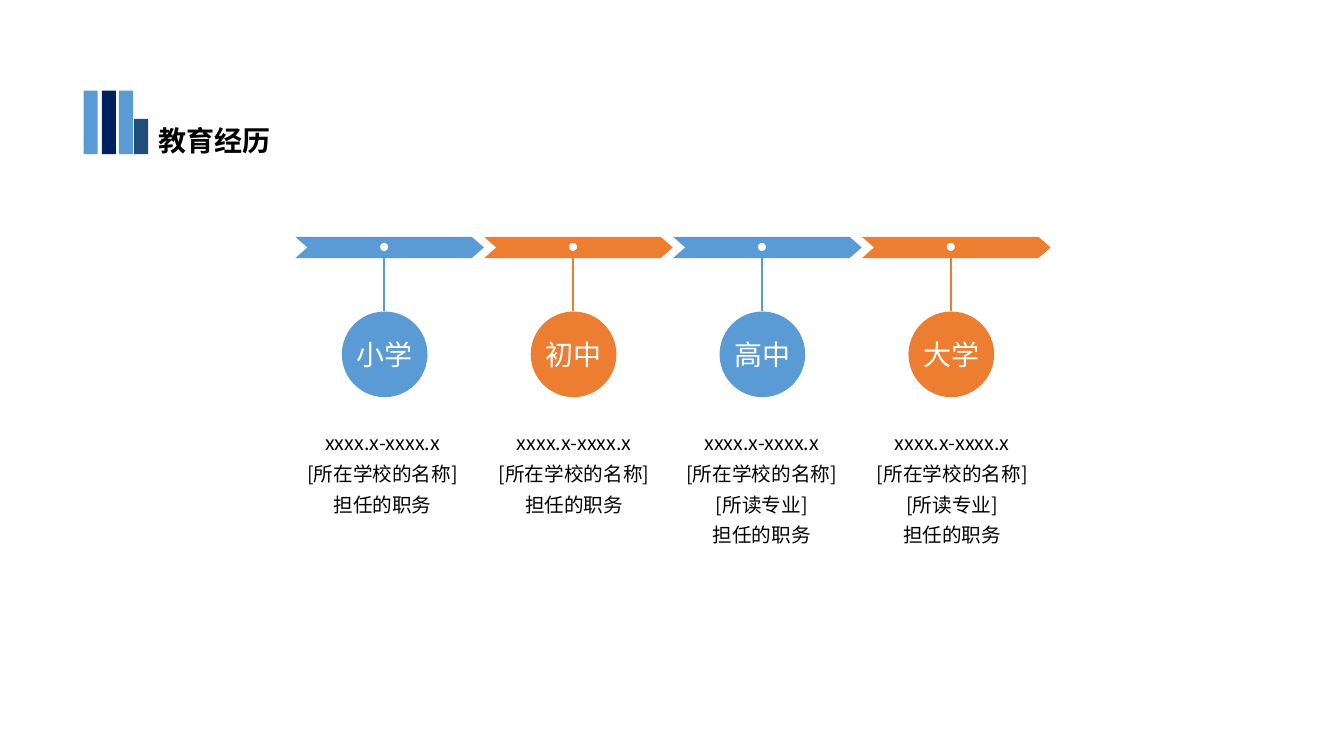
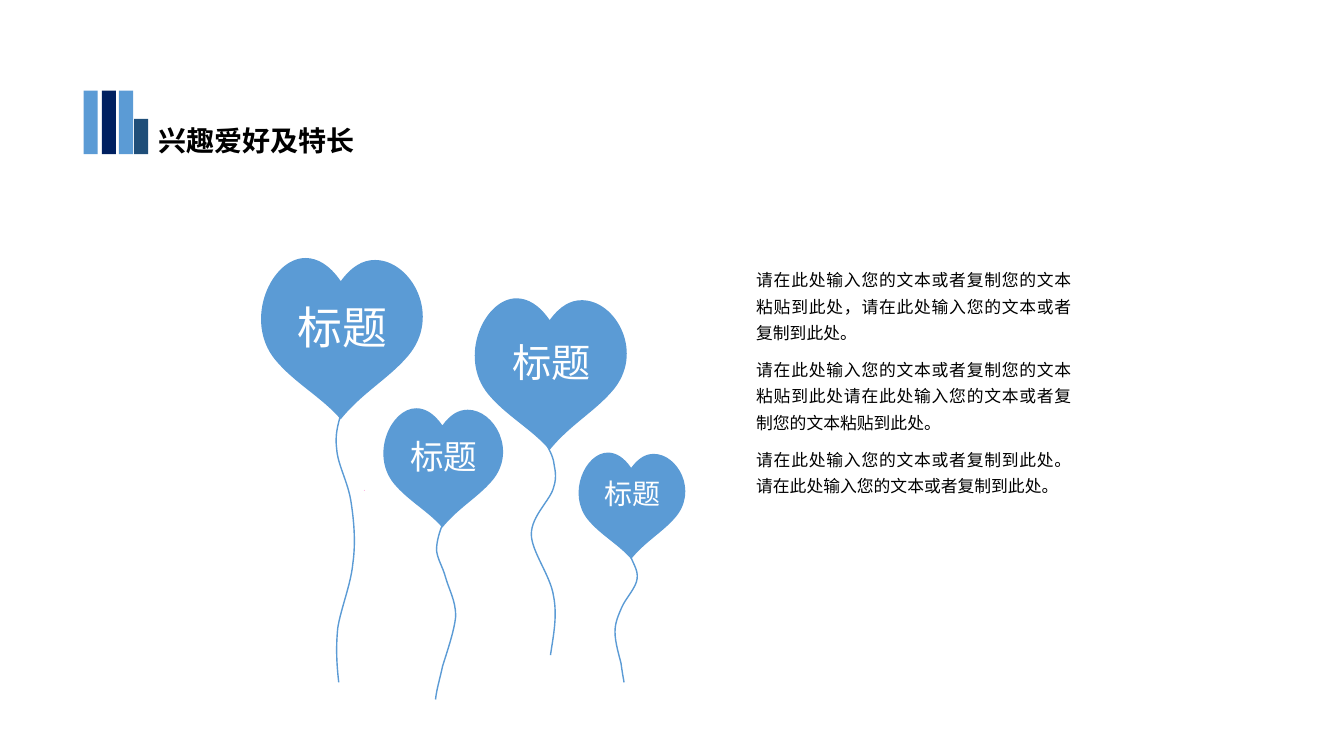
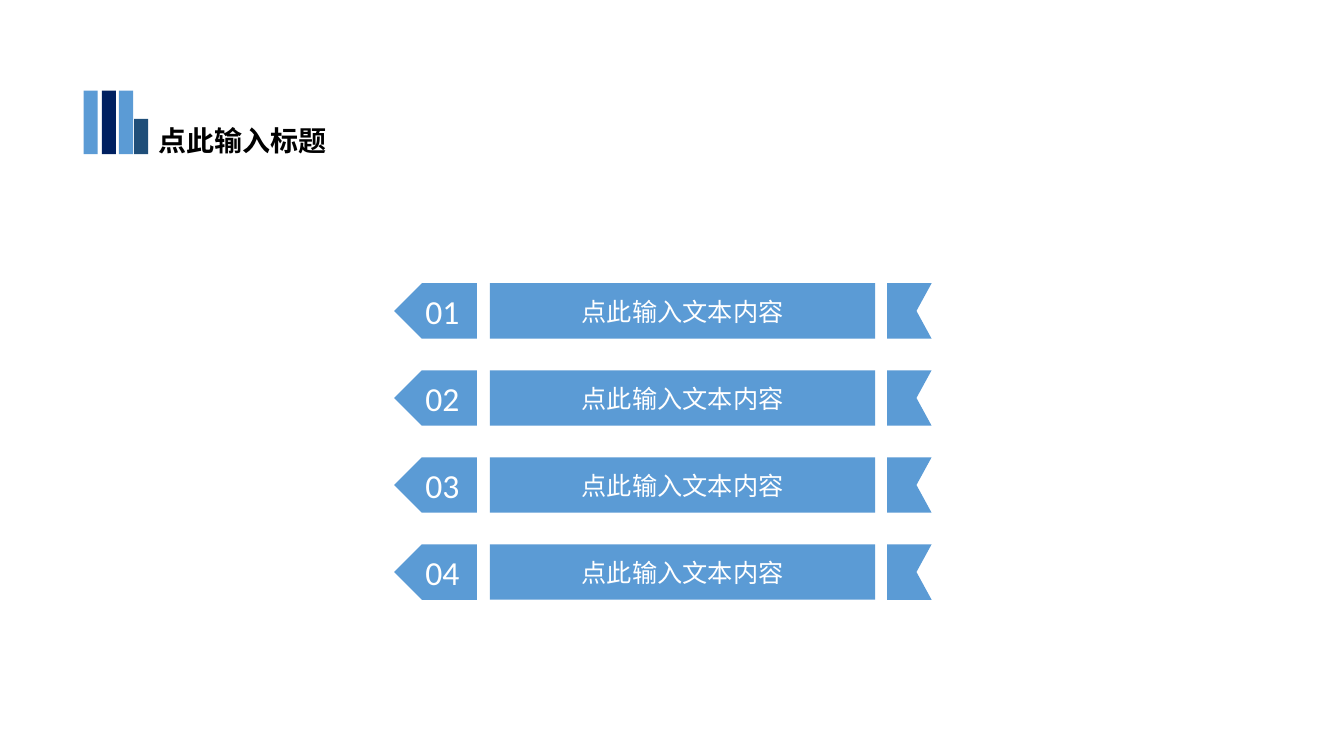
from dataclasses import dataclass

from lxml import etree
from pptx import Presentation
from pptx.dml.color import RGBColor
from pptx.enum.shapes import MSO_CONNECTOR, MSO_SHAPE
from pptx.enum.text import MSO_ANCHOR, MSO_AUTO_SIZE, PP_ALIGN
from pptx.oxml.ns import qn
from pptx.util import Inches, Pt

RECT, OVAL = MSO_SHAPE.RECTANGLE, MSO_SHAPE.OVAL
CHEVRON, PENTAGON = MSO_SHAPE.CHEVRON, MSO_SHAPE.PENTAGON
STRAIGHT = MSO_CONNECTOR.STRAIGHT
TOP, MIDDLE = MSO_ANCHOR.TOP, MSO_ANCHOR.MIDDLE
LEFT, CENTER, JUSTIFY = PP_ALIGN.LEFT, PP_ALIGN.CENTER, PP_ALIGN.JUSTIFY
NO_FIT = MSO_AUTO_SIZE.NONE

BLUE, ORANGE, NAVY, STEEL = "5B9BD5", "ED7D31", "002060", "1F4E79"
MAGENTA, PINK = "EE1696", "F489AC"
BLACK, WHITE = "000000", "FFFFFF"
CJK, LATIN = "Noto Sans CJK SC", "Calibri"
TITLE_ONLY, TITLE_BODY = 5, 1

Point = tuple[float, float]
Box = tuple[float, float, float, float]
DEFAULT_INSETS: Box = (0.1, 0.05, 0.1, 0.05)
NO_INSETS: Box = (0, 0, 0, 0)


@dataclass
class Bar:
    left: float
    top: float
    height: float
    color: str


@dataclass
class Stage:
    name: str
    color: str
    details_left: float
    lines: list[str]


@dataclass
class Balloon:
    left: float
    top: float
    scale: float
    size: int
    string: list[Point]  # start, then two handles and an end per curve


@dataclass
class Speck:
    left: float
    top: float
    color: str


TITLE_BARS = [
    Bar(0.83, 0.9, 0.63, BLUE),
    Bar(1.01, 0.9, 0.63, NAVY),
    Bar(1.18, 0.9, 0.63, BLUE),
    Bar(1.33, 1.18, 0.35, STEEL),
]

DATES, SCHOOL, MAJOR, DUTY = "xxxx.x-xxxx.x", "[所在学校的名称]", "[所读专业]", "担任的职务"
STAGES = [
    Stage("小学", BLUE, 2.86, [DATES, SCHOOL, DUTY]),
    Stage("初中", ORANGE, 4.76, [DATES, SCHOOL, DUTY]),
    Stage("高中", BLUE, 6.62, [DATES, SCHOOL, MAJOR, DUTY]),
    Stage("大学", ORANGE, 8.51, [DATES, SCHOOL, MAJOR, DUTY]),
]

HEART: list[Point] = [
    (0.62, 0),
    (0.28, 0), (0, 0.62), (0.32, 1.01),
    (0.51, 1.24), (0.78, 1.38), (0.97, 1.6),
    (1.18, 1.34), (1.44, 1.2), (1.63, 0.98),
    (1.98, 0.58), (1.67, 0.02), (1.31, 0.02),
    (1.19, 0.02), (1.08, 0.08), (0.97, 0.23),
    (0.86, 0.07), (0.74, 0), (0.62, 0),
]
BALLOONS = [
    Balloon(2.41, 2.56, 1, 32, [
        (3.38, 4.11),
        (3.35, 4.22), (3.32, 4.32), (3.34, 4.46),
        (3.35, 4.61), (3.45, 4.78), (3.48, 4.97),
        (3.51, 5.16), (3.53, 5.38), (3.5, 5.59),
        (3.48, 5.8), (3.38, 6.04), (3.35, 6.23),
        (3.33, 6.43), (3.34, 6.6), (3.36, 6.77)]),
    Balloon(4.54, 2.96, 0.94, 28, [
        (5.38, 4.34),
        (5.42, 4.41), (5.47, 4.49), (5.49, 4.57),
        (5.5, 4.65), (5.53, 4.72), (5.49, 4.84),
        (5.46, 4.96), (5.27, 5.12), (5.27, 5.3),
        (5.27, 5.47), (5.46, 5.71), (5.49, 5.91),
        (5.53, 6.11), (5.49, 6.3), (5.46, 6.5)]),
    Balloon(3.67, 4.05, 0.74, 24, [
        (4.4, 5.18),
        (4.36, 5.27), (4.33, 5.37), (4.33, 5.46),
        (4.34, 5.55), (4.39, 5.62), (4.42, 5.73),
        (4.45, 5.84), (4.52, 5.96), (4.52, 6.11),
        (4.51, 6.25), (4.43, 6.48), (4.39, 6.61),
        (4.36, 6.75), (4.33, 6.84), (4.32, 6.94)]),
    Balloon(5.62, 4.49, 0.66, 20, [
        (6.24, 5.48),
        (6.28, 5.6), (6.33, 5.65), (6.32, 5.74),
        (6.31, 5.83), (6.21, 5.93), (6.17, 6.02),
        (6.13, 6.11), (6.1, 6.18), (6.1, 6.27),
        (6.1, 6.37), (6.14, 6.5), (6.16, 6.58),
        (6.17, 6.66), (6.18, 6.71), (6.19, 6.77)]),
]
SPECKS = [Speck(3.61, 4.86, MAGENTA), Speck(4.39, 5.8, PINK)]
HOBBY_TEXTS = [
    "请在此处输入您的文本或者复制您的文本粘贴到此处，请在此处输入您的文本或者复制到此处。",
    "请在此处输入您的文本或者复制您的文本粘贴到此处请在此处输入您的文本或者复制您的文本粘贴到此处。",
    "请在此处输入您的文本或者复制到此处。请在此处输入您的文本或者复制到此处。",
]


def rgb(color: str) -> RGBColor:
    return RGBColor.from_string(color)


def place(sp, box: Box) -> None:
    sp.left, sp.top, sp.width, sp.height = map(Inches, box)


def paint(sp, color: str):
    """Plain fill without outline or shadow."""
    sp.shadow.inherit = False
    sp.fill.solid()
    sp.fill.fore_color.rgb = rgb(color)
    sp.line.fill.background()
    return sp


def write(sp, lines: list[str], size: int, color: str, font: str = CJK,
          align=CENTER, anchor=MIDDLE, insets: Box = NO_INSETS,
          bold: bool = False, spacing: float = 1.0,
          before: float = 0, after: float = 0) -> None:
    tf = sp.text_frame
    tf.word_wrap = True
    tf.auto_size = NO_FIT
    tf.vertical_anchor = anchor
    tf.margin_left, tf.margin_top, tf.margin_right, tf.margin_bottom = map(Inches, insets)
    for i, line in enumerate(lines):
        p = tf.add_paragraph() if i else tf.paragraphs[0]
        p.alignment = align
        p.line_spacing = spacing
        p.space_before = Pt(before if i else 0)
        p.space_after = Pt(after)
        r = p.add_run()
        r.text = line
        r.font.name = font
        etree.SubElement(r._r.get_or_add_rPr(), qn("a:ea"), typeface=font)
        r.font.size = Pt(size)
        r.font.bold = bold
        r.font.color.rgb = rgb(color)


def add_block(s, kind, box: Box, color: str):
    return paint(s.shapes.add_shape(kind, *map(Inches, box)), color)


def add_outline(s, points: list[Point], close: bool):
    start, *rest = [(Inches(x), Inches(y)) for x, y in points]
    builder = s.shapes.build_freeform(*start)
    builder.add_line_segments(rest, close=close)
    return builder.convert_to_shape()


def add_curve(s, points: list[Point]):
    """Outline whose points after the start form cubic curves, three by three."""
    sp = add_outline(s, points, close=False)
    segments = list(sp._element.spPr.iter(qn("a:lnTo")))
    for i in range(0, len(segments), 3):
        bezier = etree.Element(qn("a:cubicBezTo"))
        segments[i].addprevious(bezier)
        for segment in segments[i:i + 3]:
            bezier.append(segment[0])
            segment.getparent().remove(segment)
    return sp


def new_slide(prs, layout: int, title: str):
    """Slide with the title and its bars."""
    s = prs.slides.add_slide(prs.slide_layouts[layout])
    for bar in TITLE_BARS:
        add_block(s, RECT, (bar.left, bar.top, 0.14, bar.height), bar.color)
    place(s.shapes.title, (1.47, 1.18, 2.9, 0.44))
    write(s.shapes.title, [title], 20, BLACK, align=LEFT, anchor=TOP,
          insets=DEFAULT_INSETS, bold=True)
    return s


def add_stage(s, stage: Stage, left: float) -> None:
    center = left + 0.88
    arrow = add_block(s, CHEVRON, (left, 2.35, 1.87, 0.21), stage.color)
    arrow.adjustments[0] = 0.57
    circle = add_block(s, OVAL, (left + 0.46, 3.09, 0.85, 0.85), stage.color)
    write(circle, [stage.name], 20, WHITE)
    stem = s.shapes.add_connector(
        STRAIGHT, Inches(center), Inches(3.09), Inches(center), Inches(2.56))
    stem.line.color.rgb = rgb(stage.color)
    stem.line.width = Pt(1.5)
    etree.SubElement(stem._element.spPr, qn("a:effectLst"))
    add_block(s, OVAL, (center - 0.04, 2.41, 0.08, 0.08), WHITE)
    details = s.shapes.add_textbox(*map(Inches, (stage.details_left, 4.21, 1.87, 1.34)))
    write(details, stage.lines, 14, BLACK, anchor=TOP, spacing=1.3)


def add_balloon(s, balloon: Balloon) -> None:
    string = add_curve(s, balloon.string)
    string.shadow.inherit = False
    string.fill.background()
    string.line.color.rgb = rgb(BLUE)
    string.line.width = Pt(1)
    outline = [(balloon.left + x * balloon.scale, balloon.top + y * balloon.scale)
               for x, y in HEART]
    heart = paint(add_curve(s, outline), BLUE)
    write(heart, ["标题"], balloon.size, WHITE, insets=(0, 0, 0, 0.24))


def add_speck(s, speck: Speck) -> None:
    x, y, d = speck.left, speck.top, 0.01
    start, end = (x + d, y), (x, y + d)
    paint(add_curve(s, [start, start, end, end, end, (x + d, y + d), start]), speck.color)


def add_ribbon(s, number: int, top: float) -> None:
    height = 0.55
    tag = add_block(s, PENTAGON, (3.91, top, 0.82, height), BLUE)
    tag._element.spPr.find(qn("a:xfrm")).set("flipH", "1")
    write(tag, [f"{number:02d}"], 24, WHITE, LATIN, insets=DEFAULT_INSETS)
    band = add_block(s, RECT, (4.86, top, 3.82, height), BLUE)
    write(band, ["点此输入文本内容"], 18, WHITE, insets=DEFAULT_INSETS)
    tail = [(8.8, top), (9.24, top), (9.09, top + height / 2),
            (9.24, top + height), (8.8, top + height)]
    paint(add_outline(s, tail, close=True), BLUE)


def education_slide(prs) -> None:
    s = new_slide(prs, TITLE_ONLY, "教育经历")
    pitch = 5.62 / 3
    for i, stage in enumerate(STAGES):
        add_stage(s, stage, 2.93 + i * pitch)


def hobby_slide(prs) -> None:
    s = new_slide(prs, TITLE_BODY, "兴趣爱好及特长")
    for balloon in BALLOONS:
        add_balloon(s, balloon)
    for speck in SPECKS:
        add_speck(s, speck)
    body = s.placeholders[1]
    place(body, (7.4, 2.57, 3.33, 4.2))
    write(body, HOBBY_TEXTS, 12, BLACK, align=JUSTIFY, anchor=TOP,
          insets=DEFAULT_INSETS, spacing=1.3, before=2, after=6)
    # Plain paragraphs instead of the template's bullets
    for p in body.text_frame.paragraphs:
        pPr = p._p.get_or_add_pPr()
        pPr.set("marL", "0")
        pPr.set("indent", "0")
        etree.SubElement(pPr, qn("a:buNone"))


def ribbon_slide(prs) -> None:
    s = new_slide(prs, TITLE_ONLY, "点此输入标题")
    pitch = 2.59 / 3
    for i in range(4):
        add_ribbon(s, i + 1, 2.81 + i * pitch)


def main() -> None:
    prs = Presentation()
    prs.slide_width, prs.slide_height = Inches(13.33), Inches(7.5)
    education_slide(prs)
    hobby_slide(prs)
    ribbon_slide(prs)
    prs.save("out.pptx")


if __name__ == "__main__":
    main()
